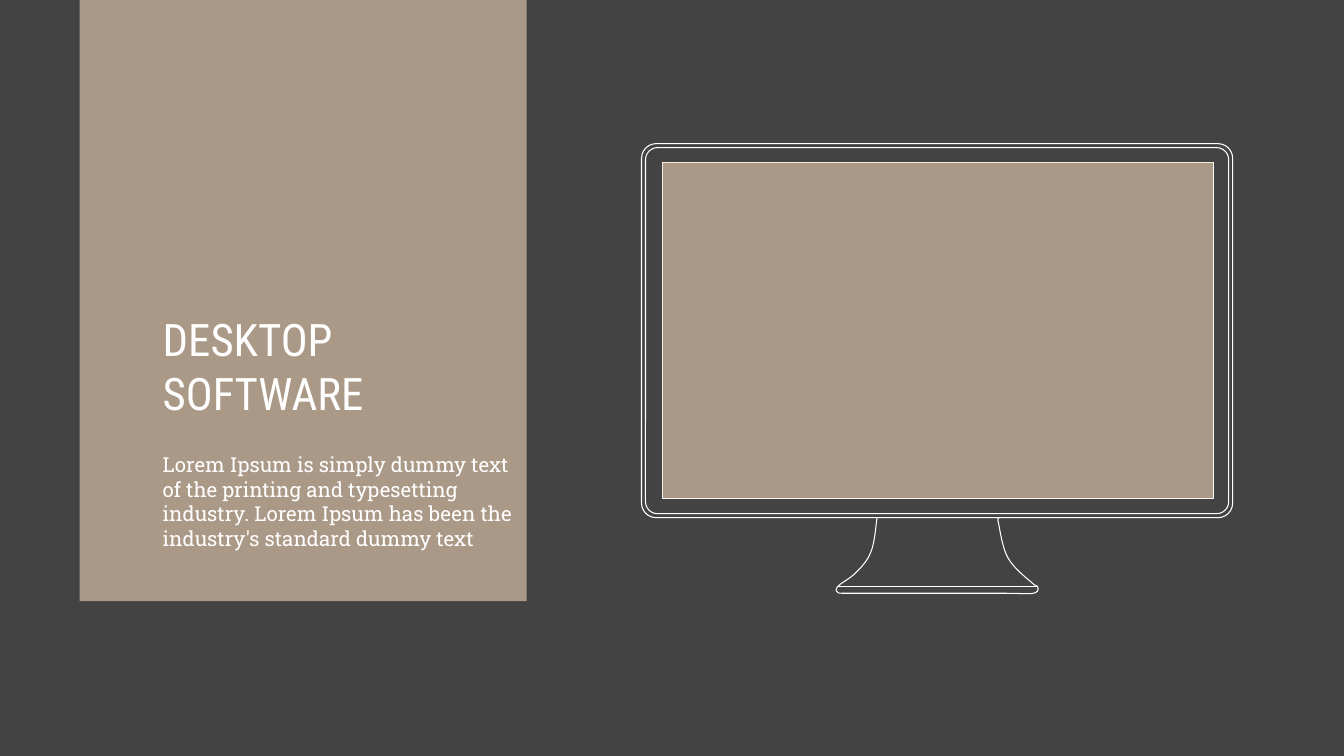
from typing import NamedTuple

from lxml import etree
from pptx import Presentation
from pptx import util as u
from pptx.dml.color import RGBColor
from pptx.enum import shapes as sh, text as tx
from pptx.oxml.ns import qn

HUES = {"back": "434343", "sand": "EBCFB2", "white": "FFFFFF"}
STEPS = 8


class Box(NamedTuple):
    left: float
    top: float
    width: float
    height: float

    def inset(self, gap: float) -> "Box":
        return Box(self.left + gap, self.top + gap,
                   self.width - 2 * gap, self.height - 2 * gap)

    def place(self) -> list[u.Cm]:
        return [u.Cm(side) for side in self]


def hue(name: str) -> RGBColor:
    return RGBColor.from_string(HUES[name])


def trace(item) -> None:
    """Give a shape or line a thin white stroke."""
    item.line.color.rgb = hue("white")
    item.line.width = u.Pt(1.5)


def frame(slide, box: Box, radius: float = 0) -> None:
    """Draw an outlined rectangle, rounded by a radius in cm."""
    kind = sh.MSO_SHAPE.ROUNDED_RECTANGLE if radius else sh.MSO_SHAPE.RECTANGLE
    item = slide.shapes.add_shape(kind, *box.place())
    if radius:
        item.adjustments[0] = radius / box.height
    item.shadow.inherit = False
    item.fill.background()
    trace(item)


def panel(slide, box: Box) -> None:
    """Draw a translucent sand rectangle."""
    item = slide.shapes.add_shape(sh.MSO_SHAPE.RECTANGLE, *box.place())
    item.shadow.inherit = False
    item.line.fill.background()
    item.fill.solid()
    item.fill.fore_color.rgb = hue("sand")
    tint = item.fill._xPr.find(qn("a:solidFill"))[0]
    etree.SubElement(tint, qn("a:alpha")).set("val", "62000")


def write(slide, box: Box, words: str, *, font: str, size: float,
          anchor=tx.MSO_ANCHOR.TOP) -> None:
    area = slide.shapes.add_textbox(*box.place()).text_frame
    area.word_wrap = True
    area.vertical_anchor = anchor
    area.margin_left = area.margin_right = u.Cm(0.68)
    area.margin_top = area.margin_bottom = u.Cm(0.68)
    para = area.paragraphs[0]
    para.line_spacing = u.Pt(size * 1.2)
    run = para.add_run()
    run.text = words
    run.font.name = font
    run.font.size = u.Pt(size)
    run.font.color.rgb = hue("white")


def curve(slide, start: tuple, bends: list[tuple]) -> None:
    """Trace a chain of cubic bends, each two handles and an end point."""
    dots, here = [], start
    for one, two, end in bends:
        for step in range(1, STEPS + 1):
            t = step / STEPS
            s = 1 - t
            dots.append(tuple(
                u.Cm(s**3 * a + 3 * s * s * t * b + 3 * s * t * t * c + t**3 * d)
                for a, b, c, d in zip(here, one, two, end)))
        here = end
    pen = slide.shapes.build_freeform(u.Cm(start[0]), u.Cm(start[1]))
    pen.add_line_segments(dots, close=False)
    item = pen.convert_to_shape()
    item.shadow.inherit = False
    item.fill.background()
    trace(item)


def rule(slide, left: float, right: float, y: float) -> None:
    item = slide.shapes.add_connector(
        sh.MSO_CONNECTOR.STRAIGHT, u.Cm(left), u.Cm(y), u.Cm(right), u.Cm(y))
    trace(item)
    etree.SubElement(item._element.spPr, qn("a:effectLst"))


SCREEN = Box(33.38, 8.18, 27.76, 16.94)
BEZEL = Box(32.33, 7.24, 29.79, 18.85)
NECK = (44.2, 26.09)
STAND = [
    # Left side of the neck and foot
    ((44.15, 26.37), (44.09, 27.36), (43.89, 27.81)),
    ((43.71, 28.3), (43.36, 28.63), (43.08, 28.91)),
    ((42.8, 29.18), (42.42, 29.36), (42.27, 29.51)),
    ((42.11, 29.67), (42.11, 29.77), (42.19, 29.82)),
    ((42.24, 29.9), (42.27, 29.9), (42.67, 29.9)),
    # Base
    ((45, 29.9), (48, 29.9), (50.72, 29.9)),
    # Right side of the foot and neck
    ((51.46, 29.9), (51.82, 29.95), (52.07, 29.9)),
    ((52.35, 29.85), (52.32, 29.67), (52.3, 29.59)),
    ((52.27, 29.49), (52.22, 29.59), (51.97, 29.34)),
    ((51.71, 29.11), (51.08, 28.63), (50.8, 28.12)),
    ((50.52, 27.64), (50.39, 26.7), (50.32, 26.37)),
    ((50.24, 26.04), (50.34, 26.16), (50.34, 26.14)),
]


def main() -> None:
    deck = Presentation()
    deck.slide_width, deck.slide_height = u.Cm(67.73), u.Cm(38.1)
    slide = deck.slides.add_slide(deck.slide_layouts[6])
    slide.background.fill.solid()
    slide.background.fill.fore_color.rgb = hue("back")

    # Text panel
    panel(slide, Box(4.01, 0, 22.53, 30.3))
    write(slide, Box(7.52, 6.6, 16.87, 15.21), "DESKTOP SOFTWARE",
          font="Roboto Condensed", size=64, anchor=tx.MSO_ANCHOR.BOTTOM)
    write(slide, Box(7.52, 22.1, 19.02, 5.87),
          "Lorem Ipsum is simply dummy text of the printing and typesetting "
          "industry. Lorem Ipsum has been the industry's standard dummy text",
          font="Roboto Slab", size=29.3)

    # Monitor
    frame(slide, SCREEN)
    curve(slide, NECK, STAND)
    frame(slide, BEZEL, radius=0.74)
    frame(slide, BEZEL.inset(0.2), radius=0.61)
    rule(slide, 42.24, 52.27, 29.57)
    panel(slide, SCREEN)

    deck.save("out.pptx")


if __name__ == "__main__":
    main()
